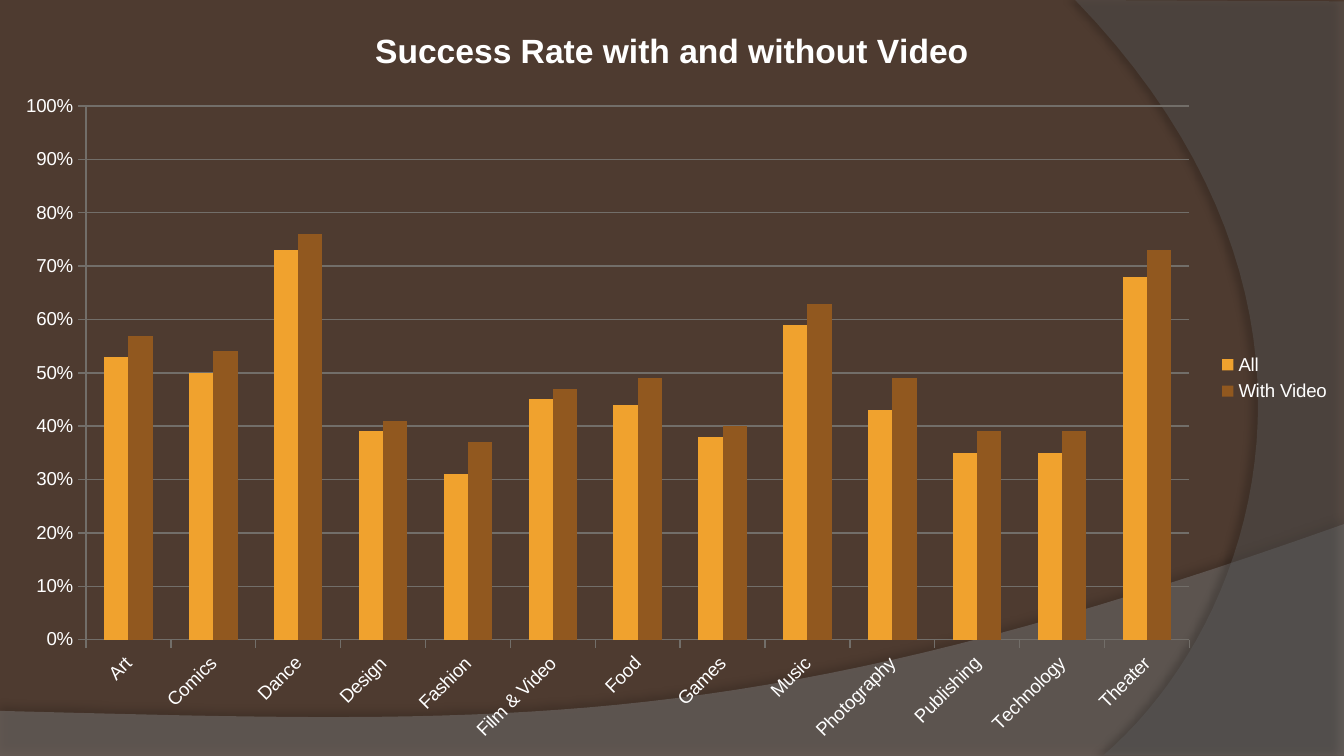
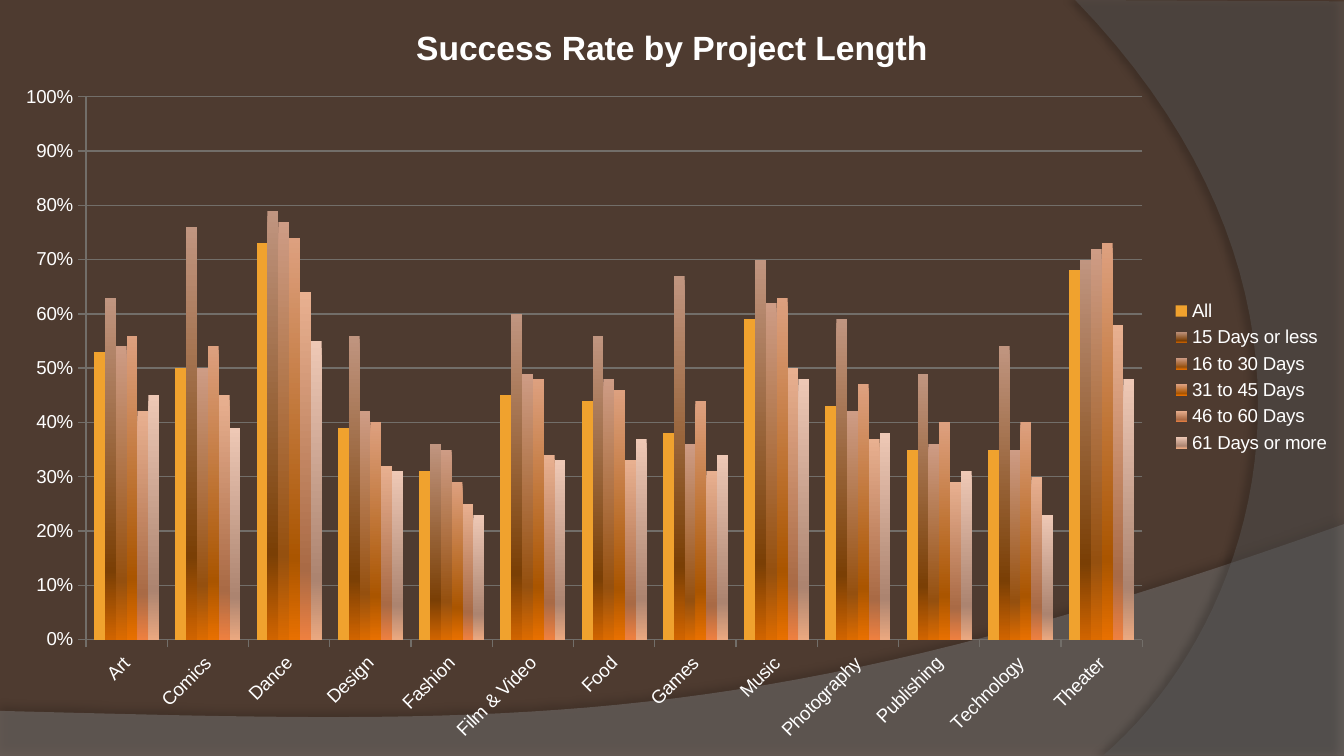
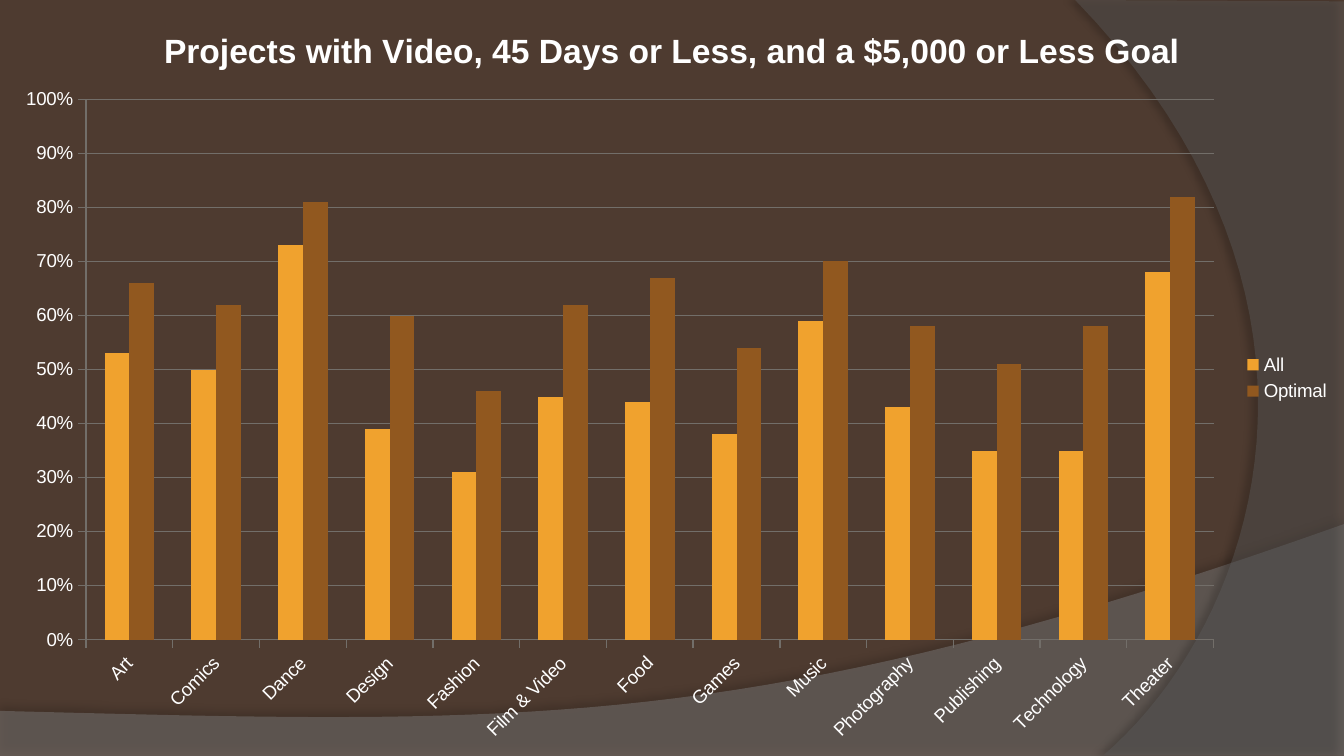
import copy

import pptx
import pptx.chart.data
import pptx.dml.color
import pptx.enum.chart
import pptx.oxml
import pptx.oxml.ns
import pptx.util

Inches = pptx.util.Inches
Pt = pptx.util.Pt
qn = pptx.oxml.ns.qn

WIDTH = Inches(10)
HEIGHT = WIDTH * 9 // 16
BACKGROUND = "4E3B30"
TEXT = "FFFFFF"
GRID = "726E69"
AMBER = "F0A22E"
BROWN = "91581F"
FONT = "Arial"

CATEGORIES = ["Art", "Comics", "Dance", "Design", "Fashion", "Film & Video", "Food",
              "Games", "Music", "Photography", "Publishing", "Technology", "Theater"]
ALL = ("All", AMBER, [0.53, 0.5, 0.73, 0.39, 0.31, 0.45, 0.44,
                      0.38, 0.59, 0.43, 0.35, 0.35, 0.68])

BANDS = [
    {"start": (0, 5.29), "corners": [(0, 5.63), (10, 5.63), (10, 3.9)],
     "curve": [(5.59, 5.47), (3.91, 5.39), (0, 5.29)],
     "fill": "7F7F7F", "alpha": 45,
     "shadow": {"alpha": 35, "blur": 4, "dist": 3.5, "angle": 270}},
    {"start": (10, 0.01), "corners": [(10, 5.62), (8.21, 5.62)],
     "curve": [(9.35, 4.64), (10.18, 2.25), (8, 0)],
     "fill": "5E5E5E", "alpha": 40,
     "shadow": {"alpha": 45, "blur": 4, "dist": 4, "angle": 180}},
]

CHARTS = [
    {"title": "Success Rate with and without Video",
     "top": 0, "height": HEIGHT,
     "plot": {"x": 0.64, "y": 0.79, "w": 8.21, "h": 3.97},
     "series": [
         ALL,
         ("With Video", BROWN, [0.57, 0.54, 0.76, 0.41, 0.37, 0.47, 0.49,
                                0.4, 0.63, 0.49, 0.39, 0.39, 0.73])]},
    {"title": "Success Rate by Project Length",
     "top": Inches(-0.02), "height": Inches(5.65),
     "plot": {"x": 0.64, "y": 0.74, "w": 7.86, "h": 4.04},
     "series": [
         ALL,
         ("15 Days or less", ["C09580", "7A3F05", "D06400"],
          [0.63, 0.76, 0.79, 0.56, 0.36, 0.6, 0.56, 0.67, 0.7, 0.59, 0.49, 0.54, 0.7]),
         ("16 to 30 Days", ["CE9C85", "95500F", "DC6B00"],
          [0.54, 0.5, 0.77, 0.42, 0.35, 0.49, 0.48, 0.36, 0.62, 0.42, 0.36, 0.35, 0.72]),
         ("31 to 45 Days", ["DDA07F", "AA5500", "E87000"],
          [0.56, 0.54, 0.74, 0.4, 0.29, 0.48, 0.46, 0.44, 0.63, 0.47, 0.4, 0.4, 0.73]),
         ("46 to 60 Days", ["E8B090", "A96A45", "EE8040"],
          [0.42, 0.45, 0.64, 0.32, 0.25, 0.34, 0.33, 0.31, 0.5, 0.37, 0.29, 0.3, 0.58]),
         ("61 Days or more", ["EEC8B5", "AC8470", "EAA880"],
          [0.45, 0.39, 0.55, 0.31, 0.23, 0.33, 0.37, 0.34, 0.48, 0.38, 0.31, 0.23, 0.48])]},
    {"title": "Projects with Video, 45 Days or Less, and a $5,000 or Less Goal",
     "top": 0, "height": HEIGHT,
     "plot": {"x": 0.64, "y": 0.74, "w": 8.39, "h": 4.02},
     "series": [
         ALL,
         ("Optimal", BROWN, [0.66, 0.62, 0.81, 0.6, 0.46, 0.62, 0.67,
                             0.54, 0.7, 0.58, 0.51, 0.58, 0.82])]},
]


def rgb(value):
    return pptx.dml.color.RGBColor.from_string(value)


def set_attrs(obj, values):
    for name, value in values.items():
        setattr(obj, name, value)


def style_font(font, size, bold=False):
    set_attrs(font, {"name": FONT, "size": Pt(size), "bold": bold})
    font.color.rgb = rgb(TEXT)


def style_line(line):
    line.width = Pt(0.75)
    line.color.rgb = rgb(GRID)


def curve_points(start, control1, control2, end, steps=40):
    for i in range(1, steps + 1):
        t = i / steps
        weights = ((1 - t) ** 3, 3 * t * (1 - t) ** 2, 3 * t * t * (1 - t), t ** 3)
        points = (start, control1, control2, end)
        yield tuple(sum(w * p[axis] for w, p in zip(weights, points)) for axis in (0, 1))


def add_shadow(sp, alpha, blur, dist, angle):
    sp.shadow.inherit = False
    effects = sp._element.spPr.find(qn("a:effectLst"))
    effects.append(pptx.oxml.parse_xml(
        f'<a:outerShdw {pptx.oxml.ns.nsdecls("a")} blurRad="{Pt(blur)}" dist="{Pt(dist)}" '
        f'dir="{angle * 60000}" rotWithShape="0"><a:srgbClr val="000000">'
        f'<a:alpha val="{alpha * 1000}"/></a:srgbClr></a:outerShdw>'))


def add_band(slide, band):
    corners = band["corners"]
    points = corners + list(curve_points(corners[-1], *band["curve"]))
    x, y = band["start"]
    builder = slide.shapes.build_freeform(Inches(x), Inches(y))
    builder.add_line_segments([(Inches(x), Inches(y)) for x, y in points], close=True)
    sp = builder.convert_to_shape()
    sp.line.fill.background()
    sp.fill.solid()
    sp.fill.fore_color.rgb = rgb(band["fill"])
    color = sp._element.spPr.find(qn("a:solidFill")).find(qn("a:srgbClr"))
    color.append(pptx.oxml.parse_xml(
        f'<a:alpha {pptx.oxml.ns.nsdecls("a")} val="{band["alpha"] * 1000}"/>'))
    add_shadow(sp, **band["shadow"])


def fill_series(series, color):
    series.invert_if_negative = False
    fill = series.format.fill
    if isinstance(color, str):
        fill.solid()
        fill.fore_color.rgb = rgb(color)
        return
    fill.gradient()
    fill.gradient_angle = 270
    stops = series._element.find(".//" + qn("a:gsLst"))
    stops.append(copy.deepcopy(stops[-1]))
    for stop, value, position in zip(fill.gradient_stops, color, (0, 0.8, 1)):
        stop.color.rgb = rgb(value)
        stop.position = position


def place_plot(chart, box, height):
    area = chart._chartSpace.find(".//" + qn("c:plotArea"))
    for layout in area.findall(qn("c:layout")):
        area.remove(layout)
    spans = {"x": WIDTH, "y": height, "w": WIDTH, "h": height}
    sizes = "".join(f'<c:{key} val="{Inches(value) / spans[key]:.4f}"/>'
                    for key, value in box.items())
    area.insert(0, pptx.oxml.parse_xml(
        f'<c:layout {pptx.oxml.ns.nsdecls("c")}><c:manualLayout>'
        '<c:layoutTarget val="inner"/><c:xMode val="edge"/><c:yMode val="edge"/>'
        f'{sizes}</c:manualLayout></c:layout>'))


def style_axes(chart):
    tick = pptx.enum.chart.XL_TICK_MARK
    for axis in (chart.category_axis, chart.value_axis):
        set_attrs(axis, {"major_tick_mark": tick.OUTSIDE, "minor_tick_mark": tick.NONE})
        style_line(axis.format.line)
        style_font(axis.tick_labels.font, 10)
    labels = chart.category_axis._element.find(qn("c:txPr"))
    labels.find(qn("a:bodyPr")).set("rot", str(-45 * 60000))
    axis = chart.value_axis
    set_attrs(axis, {"minimum_scale": 0, "maximum_scale": 1, "major_unit": 0.1,
                     "has_major_gridlines": True})
    style_line(axis.major_gridlines.format.line)
    set_attrs(axis.tick_labels, {"number_format": "0%", "number_format_is_linked": False})


def add_rate_chart(slide, title, top, height, plot, series):
    data = pptx.chart.data.CategoryChartData(number_format="0%")
    data.categories = CATEGORIES
    for name, _, values in series:
        data.add_series(name, values)
    chart = slide.shapes.add_chart(
        pptx.enum.chart.XL_CHART_TYPE.COLUMN_CLUSTERED, 0, top, WIDTH, height, data).chart
    style_font(chart.font, 10)
    set_attrs(chart, {"has_title": True, "has_legend": True})
    p = chart.chart_title.text_frame.paragraphs[0]
    r = p.add_run()
    r.text = title
    style_font(r.font, 18, bold=True)
    chart.chart_title.include_in_layout = False
    set_attrs(chart.legend, {"position": pptx.enum.chart.XL_LEGEND_POSITION.RIGHT,
                             "include_in_layout": False})
    style_font(chart.legend.font, 10)
    set_attrs(chart.plots[0], {"gap_width": 150, "overlap": 0, "vary_by_categories": False})
    for item, (_, color, _) in zip(chart.plots[0].series, series):
        fill_series(item, color)
    style_axes(chart)
    place_plot(chart, plot, height)


def add_base_slide(prs):
    slide = prs.slides.add_slide(prs.slide_layouts[6])
    fill = slide.background.fill
    fill.solid()
    fill.fore_color.rgb = rgb(BACKGROUND)
    for band in BANDS:
        add_band(slide, band)
    return slide


def main():
    prs = pptx.Presentation()
    set_attrs(prs, {"slide_width": WIDTH, "slide_height": HEIGHT})
    for chart in CHARTS:
        add_rate_chart(add_base_slide(prs), **chart)
    prs.save("out.pptx")


if __name__ == "__main__":
    main()
